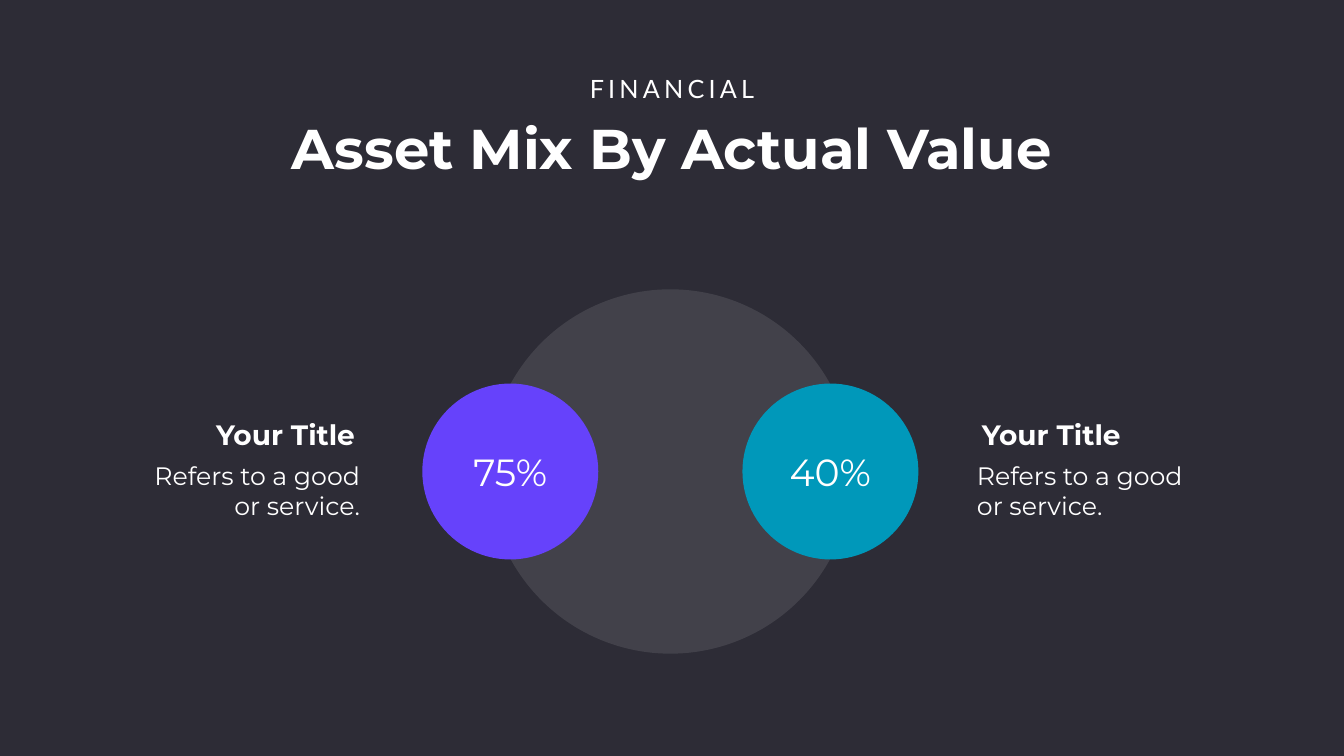
from dataclasses import dataclass

from lxml import etree
from pptx import Presentation
from pptx.dml.color import RGBColor
from pptx.enum import shapes, text
from pptx.oxml import ns
from pptx.util import Pt

LEFT, CENTER, RIGHT = text.PP_ALIGN.LEFT, text.PP_ALIGN.CENTER, text.PP_ALIGN.RIGHT

EYEBROW = "FINANCIAL"
HEADLINE = "Asset Mix By Actual Value"
# side: 1 is right of the middle, -1 is left
ASSETS = [
    dict(side=1, share="40%", color="0098BA", align=LEFT,
         title="Your Title", detail="Refers to a good or service."),
    dict(side=-1, share="75%", color="6642FB", align=RIGHT,
         title="Your Title", detail="Refers to a good or service."),
]


@dataclass(frozen=True)
class Theme:
    background: str = "2D2C36"
    ink: str = "FFFFFF"
    heading_font: str = "Montserrat"
    eyebrow_font: str = "Lato"
    headline: int = 80
    share: int = 54
    label: int = 40
    body: int = 36


THEME = Theme()
WIDTH, HEIGHT = 1919.52, 1080
HUB_X, HUB_Y = 957.4, 673.56
HUB_SIZE, DISC_SIZE = 520.56, 251.28
DISC_OFFSET = 228.6
SHARE_W, SHARE_H = 187.2, 72.72
TEXT_MID, TEXT_W = 954.7, 328.32
DETAIL_OFFSET, LABEL_OFFSET = 587.5, 604.8


def add_disc(slide, center_x, size, color, opacity=100):
    disc = slide.shapes.add_shape(
        shapes.MSO_SHAPE.OVAL, Pt(center_x - size / 2), Pt(HUB_Y - size / 2),
        Pt(size), Pt(size))
    disc.shadow.inherit = False
    disc.line.fill.background()
    disc.fill.solid()
    disc.fill.fore_color.rgb = RGBColor.from_string(color)
    if opacity < 100:
        tint = disc._element.spPr.find(ns.qn("a:solidFill"))[0]
        etree.SubElement(tint, ns.qn("a:alpha")).set("val", str(opacity * 1000))


def write(box, words, size, align=CENTER, bold=False,
          font=THEME.heading_font, inset=(7.2, 3.6), spacing=0):
    frame = box.text_frame
    frame.word_wrap = True
    frame.auto_size = text.MSO_AUTO_SIZE.SHAPE_TO_FIT_TEXT
    frame.vertical_anchor = text.MSO_ANCHOR.TOP
    frame.margin_left = frame.margin_right = Pt(inset[0])
    frame.margin_top = frame.margin_bottom = Pt(inset[1])
    paragraph = frame.paragraphs[0]
    paragraph.alignment = align
    paragraph.line_spacing = 1.0
    paragraph.space_before = Pt(0)
    run = paragraph.add_run()
    run.text = words
    run.font.name, run.font.size, run.font.bold = font, Pt(size), bold
    run.font.color.rgb = RGBColor.from_string(THEME.ink)
    if spacing:
        run._r.get_or_add_rPr().set("spc", str(spacing * 100))


def add_words(slide, center_x, top, width, height, words, size, **style):
    box = slide.shapes.add_textbox(
        Pt(center_x - width / 2), Pt(top), Pt(width), Pt(height))
    write(box, words, size, **style)


def add_heading(slide):
    headline = slide.shapes.title
    headline.left, headline.top = Pt(348.48), Pt(159.12)
    headline.width, headline.height = Pt(1222.56), Pt(104.4)
    write(headline, HEADLINE, THEME.headline, bold=True)
    add_words(slide, 959.76, 100.8, 264.96, 51.12, EYEBROW, THEME.body,
              font=THEME.eyebrow_font, spacing=6)


def add_asset(slide, asset):
    side, align = asset["side"], asset["align"]
    disc_x = HUB_X + side * DISC_OFFSET
    add_disc(slide, disc_x, DISC_SIZE, asset["color"])
    add_words(slide, disc_x, HUB_Y - SHARE_H / 2, SHARE_W, SHARE_H,
              asset["share"], THEME.share)
    add_words(slide, TEXT_MID + side * DETAIL_OFFSET, 648.72, TEXT_W, 104.4,
              asset["detail"], THEME.body, align=align, inset=(17.28, 8.64))
    add_words(slide, TEXT_MID + side * LABEL_OFFSET, 593.28, TEXT_W, 55.44,
              asset["title"], THEME.label, align=align, bold=True)


def main():
    deck = Presentation()
    deck.slide_width, deck.slide_height = Pt(WIDTH), Pt(HEIGHT)
    slide = deck.slides.add_slide(deck.slide_layouts[5])
    slide.background.fill.solid()
    slide.background.fill.fore_color.rgb = RGBColor.from_string(THEME.background)
    add_heading(slide)
    add_disc(slide, HUB_X, HUB_SIZE, THEME.ink, opacity=10)
    for asset in ASSETS:
        add_asset(slide, asset)
    deck.save("out.pptx")


if __name__ == "__main__":
    main()
